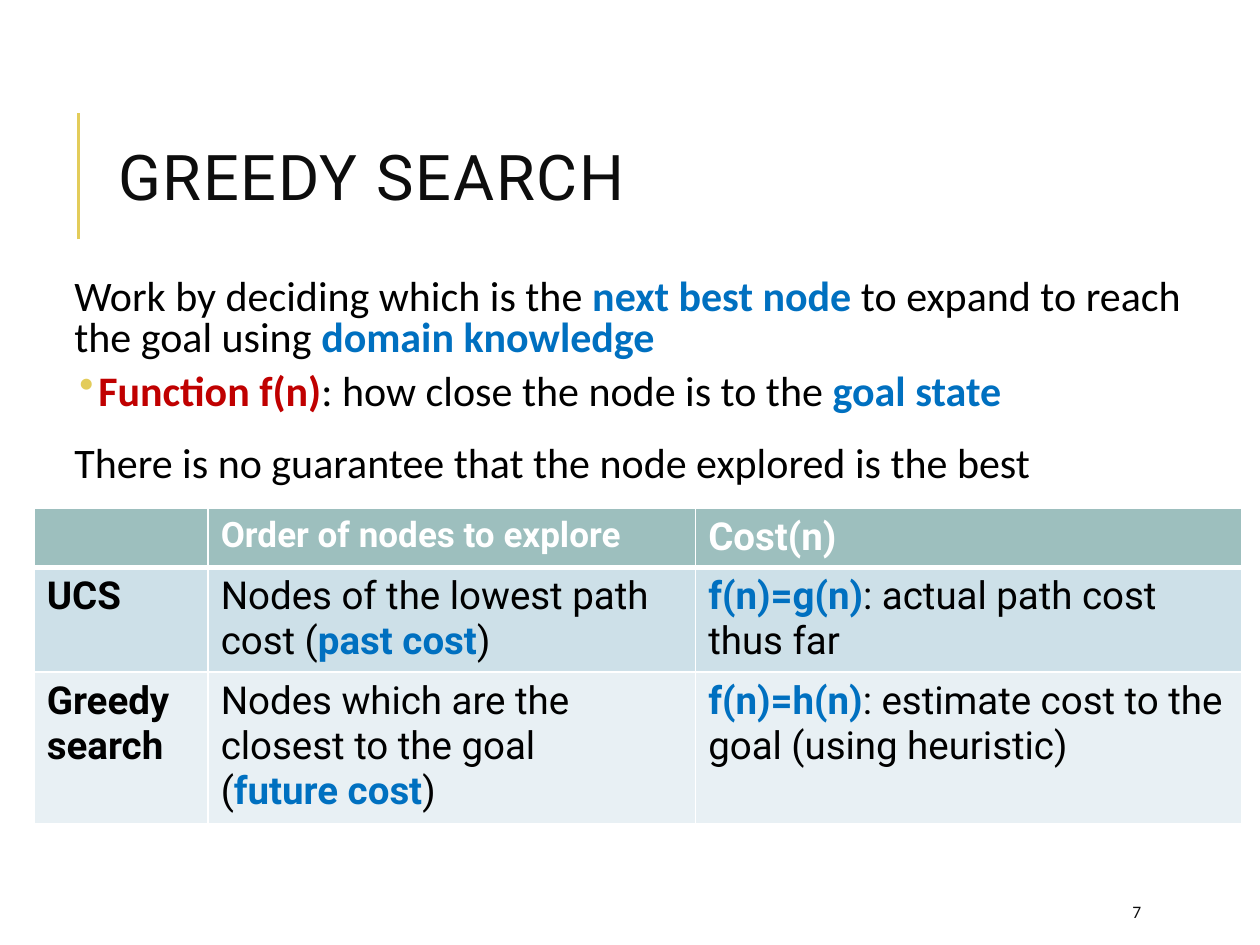
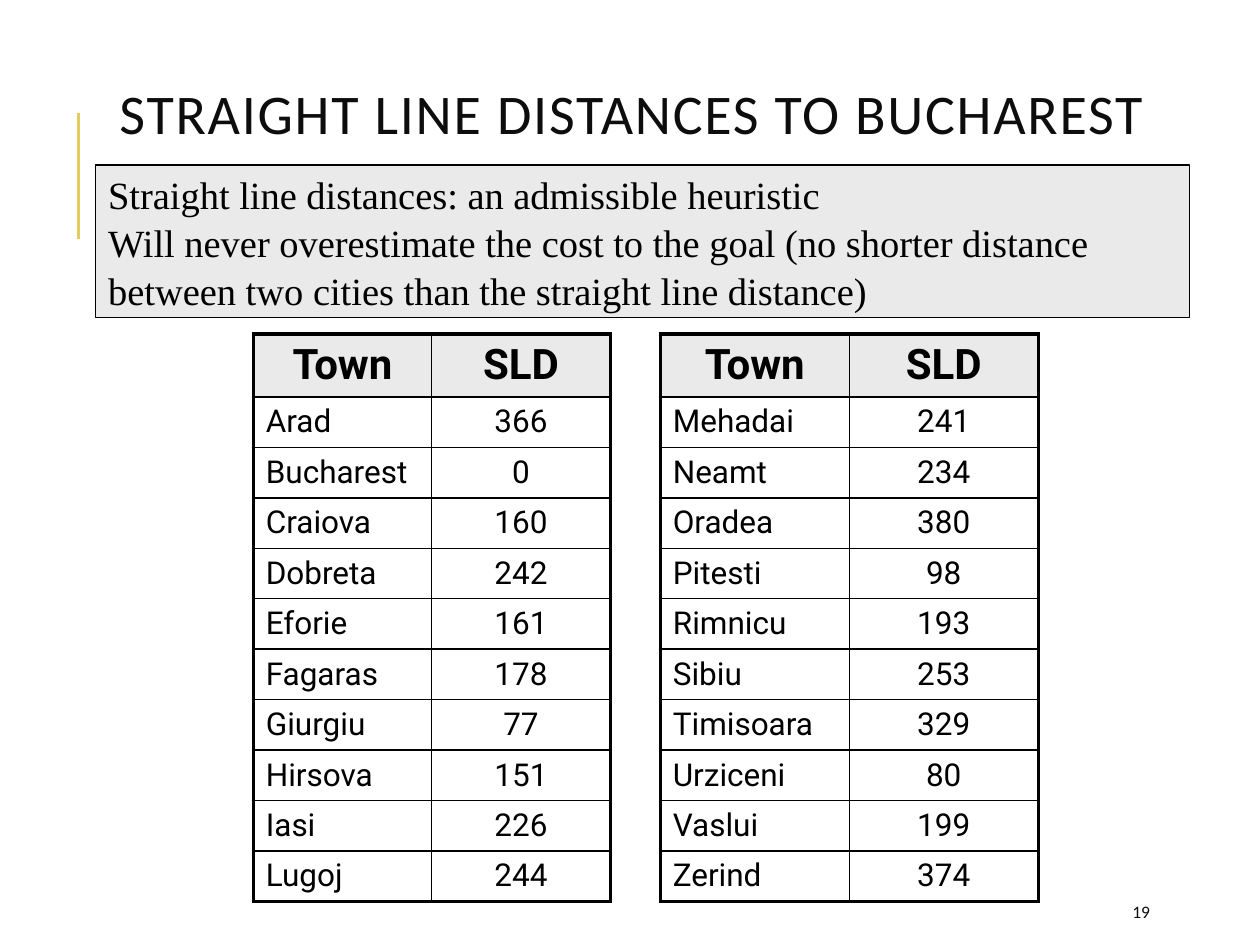
"""Build two slides on greedy search and straight line distances."""
import dataclasses
import typing

import pptx
import pptx.dml.color
import pptx.enum.shapes
import pptx.enum.text
import pptx.oxml.ns
import pptx.oxml.xmlchemy
import pptx.slide
import pptx.util
from lxml import etree

Pt = pptx.util.Pt
ALIGN = pptx.enum.text.PP_ALIGN
ANCHOR = pptx.enum.text.MSO_ANCHOR

BLACK, INK, WHITE = "000000", "0D0D0D", "FFFFFF"
BLUE, RED, GOLD, GREY = "0070C0", "C00000", "E3CC5A", "EAEAEA"
TEAL, PALE_BLUE, PALER_BLUE = "9DBFBE", "CDE0E8", "E8F0F4"


@dataclasses.dataclass(frozen=True)
class Style:
    """Font settings shared by the runs of a text."""
    face: str
    size: float
    color: str = BLACK
    bold: bool = False
    tracking: int = 0


@dataclasses.dataclass(frozen=True)
class Run:
    """A stretch of text; a colour or weight here overrides the style."""
    text: str
    color: typing.Optional[str] = None
    bold: typing.Optional[bool] = None


@dataclasses.dataclass(frozen=True)
class Line:
    """A paragraph with its format values, indents and bullet."""
    runs: tuple[Run, ...]
    formats: dict[str, typing.Any] = dataclasses.field(default_factory=dict)
    margin: float = 0
    hanging: float = 0
    bullet: str = ""


@dataclasses.dataclass(frozen=True)
class Cell:
    """A table cell with its text, style and fill."""
    lines: tuple[Line, ...]
    style: Style
    fill: typing.Optional[str] = None
    anchor: typing.Any = ANCHOR.TOP


@dataclasses.dataclass(frozen=True)
class Rules:
    """Cell borders: outer edge, grid, and the line below the header."""
    color: str
    outer: float
    grid: float
    header: float


@dataclasses.dataclass(frozen=True)
class Box:
    """A place on the slide in points."""
    left: float
    top: float
    width: float
    height: float

    def lengths(self) -> tuple[pptx.util.Length, ...]:
        """Return left, top, width and height as lengths."""
        return tuple(Pt(v) for v in (self.left, self.top, self.width, self.height))


def rgb(color: str) -> pptx.dml.color.RGBColor:
    """Turn a hex string into a colour."""
    return pptx.dml.color.RGBColor.from_string(color)


def plain(text: str, **formats: typing.Any) -> Line:
    """Make a paragraph of a single run."""
    return Line((Run(text),), formats)


def apply(target: typing.Any, formats: dict[str, typing.Any]) -> None:
    """Set each format value on the target."""
    for attribute, value in formats.items():
        setattr(target, attribute, value)


def sub(parent: typing.Any, tag: str, **attributes: str) -> typing.Any:
    """Append a drawing element to its parent."""
    return etree.SubElement(parent, pptx.oxml.ns.qn(tag), attributes)


def write(frame: typing.Any, lines: tuple[Line, ...], style: Style) -> None:
    """Fill a text frame with styled paragraphs."""
    for index, line in enumerate(lines):
        paragraph = frame.add_paragraph() if index else frame.paragraphs[0]
        apply(paragraph, line.formats)
        if line.margin:
            properties = paragraph._p.get_or_add_pPr()
            properties.set("marL", str(Pt(line.margin)))
            properties.set("indent", str(Pt(-line.hanging)))
            if line.bullet:
                sub(sub(properties, "a:buClr"), "a:srgbClr", val=GOLD)
                sub(properties, "a:buChar", char=line.bullet)
        for part in line.runs:
            run = paragraph.add_run()
            run.text = part.text
            bold = style.bold if part.bold is None else part.bold
            apply(run.font, {"name": style.face, "size": Pt(style.size), "bold": bold})
            run.font.color.rgb = rgb(part.color or style.color)
            if style.tracking:
                run._r.get_or_add_rPr().set("spc", str(style.tracking))


def add_text(slide: pptx.slide.Slide, box: Box, lines: tuple[Line, ...],
             style: Style, **formats: typing.Any) -> None:
    """Add a wrapping text box."""
    frame = slide.shapes.add_textbox(*box.lengths()).text_frame
    apply(frame, {"word_wrap": True, **formats})
    write(frame, lines, style)


def add_table(slide: pptx.slide.Slide, box: Box, widths: tuple[float, ...],
              heights: tuple[float, ...], rows: list[list[Cell]], rules: Rules) -> None:
    """Add a table with its own fills and borders."""
    last_row, last_column = len(rows) - 1, len(widths) - 1
    table = slide.shapes.add_table(len(rows), len(widths), *box.lengths()).table
    apply(table, {"first_row": False, "horz_banding": False})
    for column, width in zip(table.columns, widths):
        column.width = Pt(width)
    for r, (row, height) in enumerate(zip(rows, heights)):
        table.rows[r].height = Pt(height)
        for c, content in enumerate(row):
            cell = table.cell(r, c)
            cell.vertical_anchor = content.anchor
            borders = {
                "a:lnL": rules.grid if c else rules.outer,
                "a:lnR": rules.grid if c < last_column else rules.outer,
                "a:lnT": (rules.outer, rules.header)[r] if r < 2 else rules.grid,
                "a:lnB": (rules.outer if r == last_row
                          else rules.grid if r else rules.header),
            }
            for tag, width in borders.items():
                edge = sub(cell._tc.get_or_add_tcPr(), tag, w=str(Pt(width)))
                sub(sub(edge, "a:solidFill"), "a:srgbClr", val=rules.color)
            if content.fill:
                cell.fill.solid()
                cell.fill.fore_color.rgb = rgb(content.fill)
            else:
                cell.fill.background()
            write(cell.text_frame, content.lines, content.style)


def add_frame(presentation: typing.Any, title: str, title_box: Box,
              title_style: Style, number: int) -> pptx.slide.Slide:
    """Add a slide with the accent line, title and page number."""
    slide = presentation.slides.add_slide(presentation.slide_layouts[6])
    accent = slide.shapes.add_connector(
        pptx.enum.shapes.MSO_CONNECTOR.STRAIGHT, Pt(44.8), Pt(136.8), Pt(44.8), Pt(64.8))
    accent.line.color.rgb = rgb(GOLD)
    accent.line.width = Pt(1.5)
    sub(accent._element.spPr, "a:effectLst")
    add_text(slide, title_box, (plain(title, line_spacing=0.8),), title_style,
             vertical_anchor=ANCHOR.MIDDLE)
    add_text(slide, Box(640, 509.8, 57.6, 21.6), (plain(str(number)),),
             Style("Calibri", 10, INK), vertical_anchor=ANCHOR.MIDDLE)
    return slide


def build_greedy_search(presentation: typing.Any) -> None:
    """Build the slide that compares UCS with greedy search."""
    slide = add_frame(presentation, "GREEDY SEARCH", Box(60.5, 45, 573.8, 118),
                      Style("Roboto", 36, INK, tracking=100), 7)
    spacing = {"line_spacing": 0.8, "space_before": Pt(12), "space_after": Pt(6)}
    explanation = (
        Line((Run("Work by deciding which is the "), Run("next best node ", BLUE, True),
              Run("to expand to reach the goal using "),
              Run("domain knowledge", BLUE, True)), spacing, 7.2),
        Line((Run("Function f(n)", RED, True), Run(": how close the node is to the "),
              Run("goal state", BLUE, True)),
             {**spacing, "space_before": Pt(2)}, 20.9, 10.8, "•"),
        Line((Run("There is no guarantee that the node explored is the best"),),
             spacing, 7.2),
    )
    inset = Pt(3.6)
    add_text(slide, Box(31.7, 156.2, 656.6, 323.3), explanation, Style("Calibri", 24),
             margin_left=inset, margin_right=inset, margin_top=inset, margin_bottom=inset)

    text, label = Style("Roboto", 22), Style("Roboto", 22, bold=True)
    small_head = Style("Roboto", 20, WHITE, True)
    head = Style("Roboto", 22, WHITE, True)
    past = Line((Run("Nodes of the lowest path cost ("), Run("past cost", BLUE, True),
                 Run(")")))
    future = Line((Run("("), Run("future cost", BLUE, True), Run(")")))
    actual = Line((Run("f(n)=g(n)", BLUE, True), Run(": actual path cost thus far")))
    estimate = Line((Run("f(n)=h(n)", BLUE, True),
                     Run(": estimate cost to the goal (using heuristic)")))
    rows = [
        [Cell((), head, TEAL),
         Cell((plain("Order of nodes to explore"),), small_head, TEAL),
         Cell((plain("Cost(n)"),), head, TEAL)],
        [Cell((plain("UCS"),), label, PALE_BLUE), Cell((past,), text, PALE_BLUE),
         Cell((actual,), text, PALE_BLUE)],
        [Cell((plain("Greedy"), plain("search")), label, PALER_BLUE),
         Cell((plain("Nodes which are the closest to the goal"), future), text, PALER_BLUE),
         Cell((estimate,), text, PALER_BLUE)],
    ]
    add_table(slide, Box(19.6, 290.5, 689.8, 176), (99.4, 278.6, 311.8),
              (32, 59, 85), rows, Rules(WHITE, 1, 1, 3))


def distance_rows(distances: dict[str, int]) -> list[list[Cell]]:
    """Lay out towns and their straight line distances as table rows."""
    head, text = Style("Roboto", 24, bold=True), Style("Roboto", 18)
    rows = [[Cell((plain(name, alignment=ALIGN.CENTER),), head, GREY)
             for name in ("Town", "SLD")]]
    for town, distance in distances.items():
        rows.append([
            Cell((plain(town),), text, anchor=ANCHOR.MIDDLE),
            Cell((plain(str(distance), alignment=ALIGN.CENTER),), text,
                 anchor=ANCHOR.MIDDLE)])
    return rows


def build_distances(presentation: typing.Any) -> None:
    """Build the slide with the distance tables."""
    slide = add_frame(presentation, "STRAIGHT LINE DISTANCES TO BUCHAREST",
                      Box(61.2, 8.6, 635.8, 118),
                      Style("Calibri", 32, INK, tracking=100), 19)
    western = {"Arad": 366, "Bucharest": 0, "Craiova": 160, "Dobreta": 242,
               "Eforie": 161, "Fagaras": 178, "Giurgiu": 77, "Hirsova": 151,
               "Iasi": 226, "Lugoj": 244}
    remaining = {"Mehadai": 241, "Neamt": 234, "Oradea": 380, "Pitesti": 98,
                 "Rimnicu": 193, "Sibiu": 253, "Timisoara": 329, "Urziceni": 80,
                 "Vaslui": 199, "Zerind": 374}
    for left, width, distances in ((144.7, 102, western), (377.3, 108, remaining)):
        add_table(slide, Box(left, 190.8, 2 * width, 324), (width, width),
                  (36,) + (28.8,) * len(distances), distance_rows(distances),
                  Rules(BLACK, 2.25, 1, 1))

    heuristic = slide.shapes.add_shape(
        pptx.enum.shapes.MSO_SHAPE.RECTANGLE, *Box(54.7, 94.3, 625, 87.1).lengths())
    heuristic.shadow.inherit = False
    heuristic.fill.solid()
    heuristic.fill.fore_color.rgb = rgb(GREY)
    heuristic.line.color.rgb = rgb(BLACK)
    heuristic.line.width = Pt(0.75)
    apply(heuristic.text_frame, {"word_wrap": True, "vertical_anchor": ANCHOR.MIDDLE})
    layout = {"alignment": ALIGN.LEFT, "line_spacing": 1.04}
    write(heuristic.text_frame, (
        plain("Straight line distances: an admissible heuristic", **layout),
        plain("Will never overestimate the cost to the goal (no shorter distance "
              "between two cities than the straight line distance)", **layout),
    ), Style("Times New Roman", 22))


def main() -> None:
    """Build and save the presentation."""
    presentation = pptx.Presentation()
    apply(presentation, {"slide_width": Pt(720), "slide_height": Pt(540)})
    build_greedy_search(presentation)
    build_distances(presentation)
    presentation.save("out.pptx")


if __name__ == "__main__":
    main()
